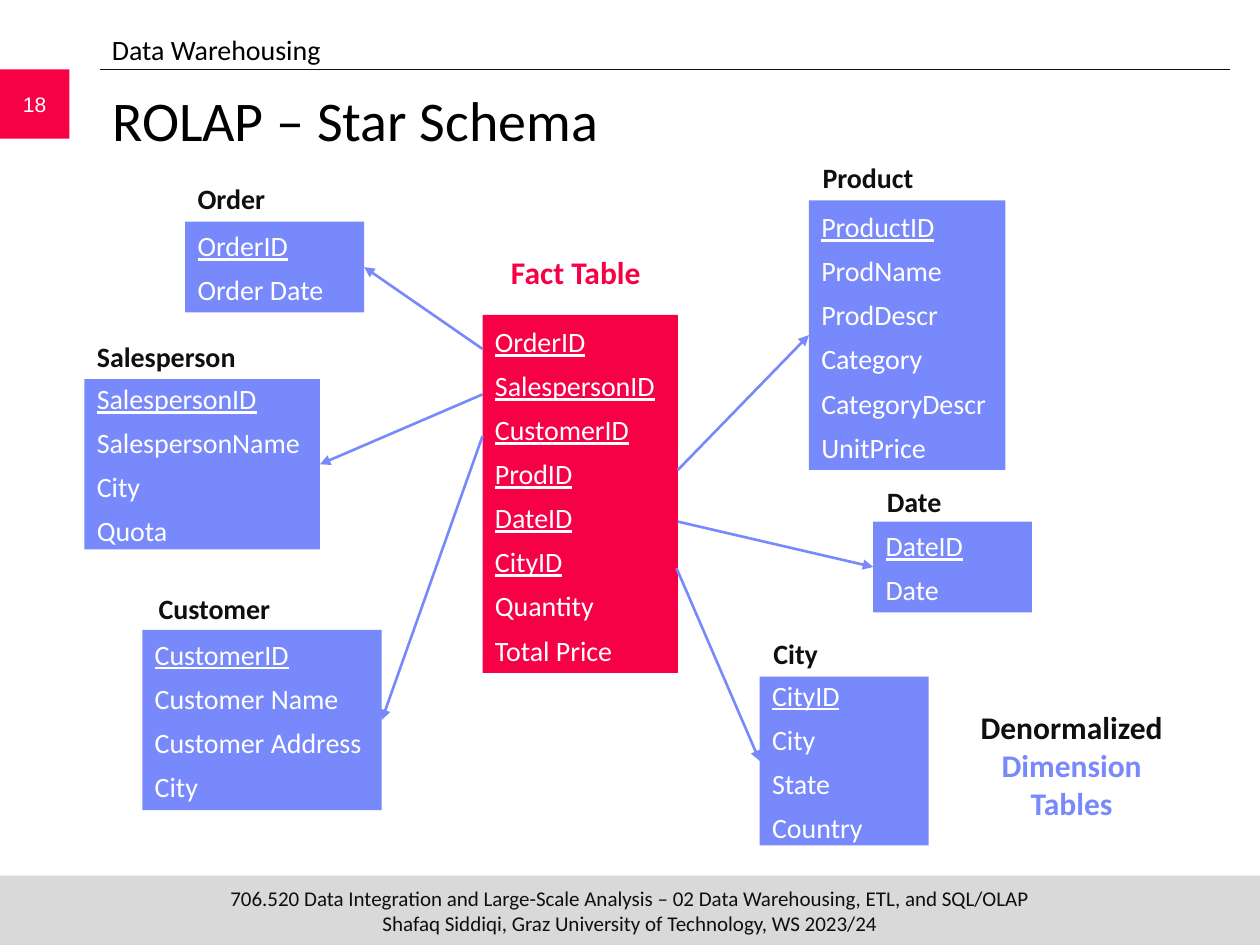
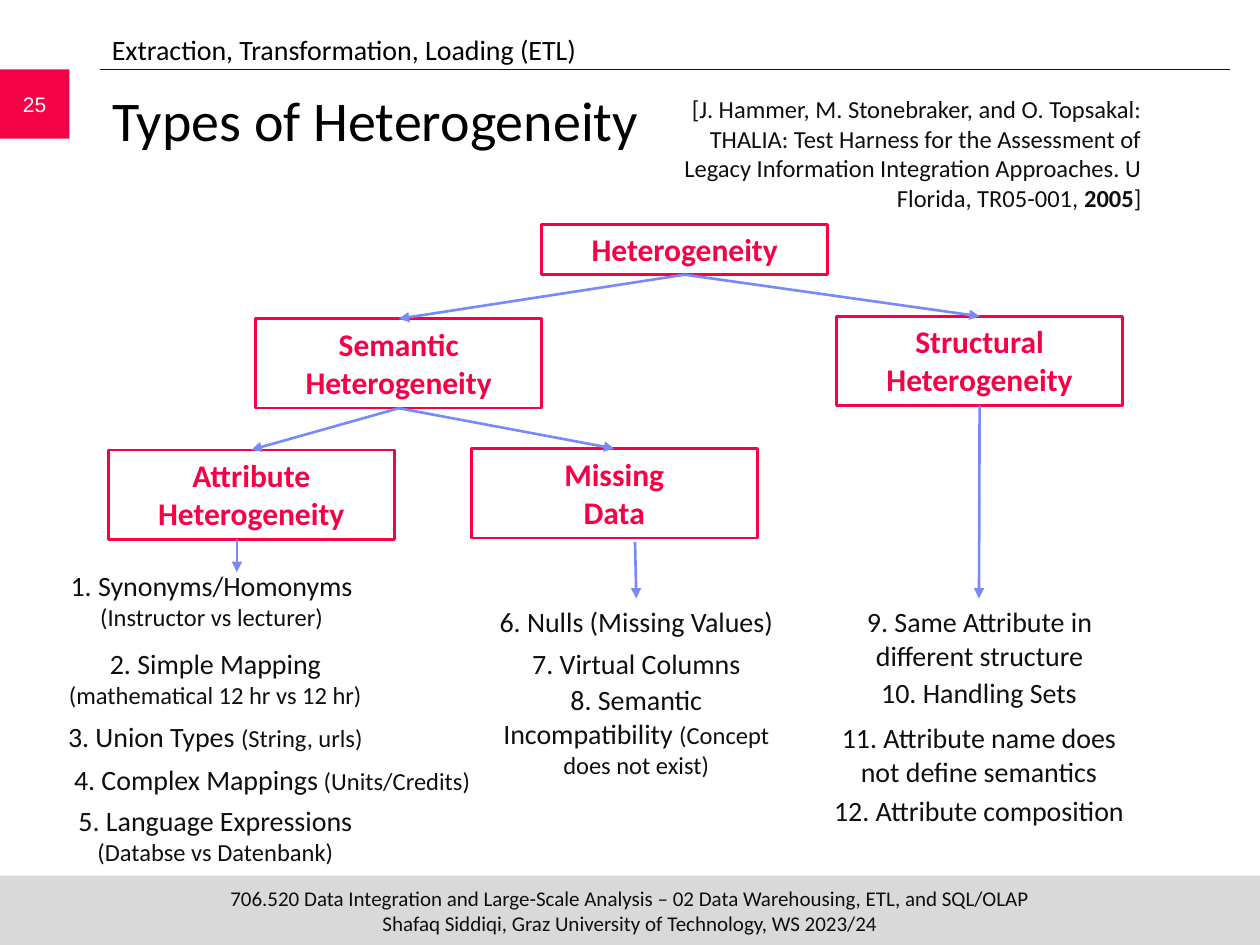
from lxml import etree
from pptx import Presentation
from pptx.dml.color import RGBColor
from pptx.enum import shapes, text
from pptx.oxml import ns
from pptx.util import Inches, Pt

RED = RGBColor(0xF7, 0x01, 0x46)
BLUE = RGBColor(0x78, 0x89, 0xFB)
GREY = RGBColor(0xD9, 0xD9, 0xD9)
INK = RGBColor(0x0F, 0x0F, 0x0F)
BLACK = RGBColor(0, 0, 0)
WHITE = RGBColor(0xFF, 0xFF, 0xFF)

LEFT, CENTER, RIGHT = (text.PP_ALIGN.LEFT, text.PP_ALIGN.CENTER,
                       text.PP_ALIGN.RIGHT)
TOP, MIDDLE, BOTTOM = (text.MSO_ANCHOR.TOP, text.MSO_ANCHOR.MIDDLE,
                       text.MSO_ANCHOR.BOTTOM)
SIDE_TOP, SIDE_LEFT, SIDE_BOTTOM, SIDE_RIGHT = range(4)

FOOTER = [
    "706.520 Data Integration and Large-Scale Analysis – "
    "02 Data Warehousing, ETL, and SQL/OLAP",
    "Shafaq Siddiqi, Graz University of Technology, WS 2023/24",
]


class Deck:
    """Holds the shared style and the slide being built."""

    def __init__(self):
        self.presentation = Presentation()
        self.presentation.slide_width = Inches(10)
        self.presentation.slide_height = Inches(7.5)
        self.slide = None

    def new_slide(self, number, section, title):
        layout = self.presentation.slide_layouts.get_by_name("Title Only")
        self.slide = self.presentation.slides.add_slide(layout)

        # Title and section name
        heading = self.slide.shapes.title
        box = dict(left=0.79, top=0.63, width=8.96, height=0.83)
        for side, value in box.items():
            setattr(heading, side, Inches(value))
        self.set_text(heading, [title], size=32, color=BLACK)
        self.label((0.79, 0.21, 9, 0.36), [section], color=BLACK)

        # Footer band, header rule and page number
        self.box((0, 6.95, 10, 0.55), FOOTER, fill=GREY, size=12, color=INK,
                 align=CENTER, anchor=MIDDLE, margins=(0, 0))
        self.line((0.79, 0.55), (9.76, 0.55), color=INK, width=0.5)
        self.box((0, 0.55, 0.55, 0.55), [number], fill=RED, size=12,
                 color=WHITE, name="Arial", align=CENTER, anchor=MIDDLE)

    def set_text(self, shape, paragraphs, align=LEFT, anchor=TOP, gap=0,
                 margins=(0.1, 0.05), **style):
        """Each paragraph is a string or a list of (string, style) runs."""
        frame = shape.text_frame
        across, down = map(Inches, margins)
        settings = dict(word_wrap=True, auto_size=text.MSO_AUTO_SIZE.NONE,
                        vertical_anchor=anchor, margin_left=across,
                        margin_right=across, margin_top=down,
                        margin_bottom=down)
        for key, value in settings.items():
            setattr(frame, key, value)
        for index, runs in enumerate(paragraphs):
            paragraph = frame.add_paragraph() if index else frame.paragraphs[0]
            paragraph.alignment = align
            paragraph.space_before = Pt(gap if index else 0)
            if isinstance(runs, str):
                runs = [(runs, {})]
            for words, changes in runs:
                run = paragraph.add_run()
                run.text = words
                self.format_font(run.font, **{**style, **changes})

    def format_font(self, font, color=INK, size=16, **style):
        font.color.rgb = color
        for key, value in {"name": "Calibri", "size": Pt(size), **style}.items():
            setattr(font, key, value)

    def label(self, place, paragraphs, **style):
        shape = self.slide.shapes.add_textbox(*map(Inches, place))
        self.set_text(shape, paragraphs, **style)

    def box(self, place, paragraphs, fill, outline=None, **style):
        shape = self.slide.shapes.add_shape(
            shapes.MSO_SHAPE.RECTANGLE, *map(Inches, place))
        shape.shadow.inherit = False
        shape.fill.solid()
        shape.fill.fore_color.rgb = fill
        if outline is None:
            shape.line.fill.background()
        else:
            shape.line.color.rgb = outline
            shape.line.width = Pt(1.5)
        self.set_text(shape, paragraphs, **style)
        return shape

    def line(self, start, end, color=BLUE, width=1.5):
        connector = self.slide.shapes.add_connector(
            shapes.MSO_CONNECTOR.STRAIGHT, *map(Inches, (*start, *end)))
        connector.line.color.rgb = color
        connector.line.width = Pt(width)
        etree.SubElement(connector.element.spPr, ns.qn("a:effectLst"))
        return connector

    def arrow(self, start=(0, 0), end=(0, 0), source=None, target=None):
        """source and target are (shape, side) pairs to join."""
        connector = self.line(start, end)
        outline = connector.element.spPr.find(ns.qn("a:ln"))
        etree.SubElement(outline, ns.qn("a:tailEnd"), type="triangle")
        if source:
            connector.begin_connect(*source)
        if target:
            connector.end_connect(*target)

    def entity(self, place, keys, columns, fill=BLUE, anchor=BOTTOM):
        """Schema table whose key columns are underlined."""
        rows = [[(key, {"underline": True})] for key in keys] + columns
        return self.box(place, rows, fill, color=WHITE, anchor=anchor, gap=6)

    def node(self, place, lines):
        return self.box(place, lines, WHITE, outline=RED, size=18, color=RED,
                        bold=True, align=CENTER)


def star_schema(deck):
    deck.new_slide("18", "Data Warehousing", "ROLAP – Star Schema")

    # Fact table
    deck.entity((3.83, 2.5, 1.55, 2.84),
                ["OrderID", "SalespersonID", "CustomerID", "ProdID", "DateID",
                 "CityID"], ["Quantity", "Total Price"], fill=RED)
    deck.label((3.79, 1.96, 1.56, 0.4), ["Fact Table"], size=18, color=RED,
               bold=True, align=CENTER, anchor=BOTTOM)

    # Dimensions: name, name position, table place, key, columns, anchor,
    # arrow start on the fact table, side the arrow reaches
    dimensions = [
        ("Order", (1.47, 1.39), (1.47, 1.76, 1.42, 0.72), "OrderID",
         ["Order Date"], BOTTOM, (3.83, 2.77), SIDE_RIGHT),
        ("Salesperson", (0.67, 2.64), (0.67, 3.01, 1.87, 1.35),
         "SalespersonID", ["SalespersonName", "City", "Quota"], MIDDLE,
         (3.83, 3.13), SIDE_RIGHT),
        ("Customer", (1.16, 4.64), (1.13, 5, 1.9, 1.43), "CustomerID",
         ["Customer Name", "Customer Address", "City"], MIDDLE,
         (3.83, 3.46), SIDE_RIGHT),
        ("Product", (6.43, 1.22), (6.42, 1.59, 1.56, 2.14), "ProductID",
         ["ProdName", "ProdDescr", "Category", "CategoryDescr", "UnitPrice"],
         BOTTOM, (5.38, 3.73), SIDE_LEFT),
        ("Date", (6.94, 3.79), (6.93, 4.14, 1.26, 0.72), "DateID", ["Date"],
         BOTTOM, (5.38, 4.14), SIDE_LEFT),
        ("City", (6.04, 5), (6.03, 5.37, 1.34, 1.34), "CityID",
         ["City", "State", "Country"], MIDDLE, (5.37, 4.51), SIDE_LEFT),
    ]
    for name, corner, place, key, columns, anchor, start, side in dimensions:
        table = deck.entity(place, [key], columns, anchor=anchor)
        deck.label((*corner, 1.48, 0.37), [name], bold=True, anchor=BOTTOM)
        deck.arrow(start, target=(table, side))

    # Remark
    deck.label((7.6, 5.56, 1.81, 1.01),
               ["Denormalized", [("Dimension Tables", {"color": BLUE})]],
               size=18, bold=True, align=CENTER, anchor=BOTTOM)


def heterogeneity_types(deck):
    deck.new_slide("25", "Extraction, Transformation, Loading (ETL)",
                   "Types of Heterogeneity")

    # Tree of types
    width, height = 2.27, 0.71
    root = deck.node((4.3, 1.78, width, 0.4), ["Heterogeneity"])
    structural = deck.node((6.64, 2.51, width, height),
                           ["Structural Heterogeneity"])
    semantic = deck.node((2.03, 2.53, width, height),
                         ["Semantic Heterogeneity"])
    attribute = deck.node((0.86, 3.57, width, height),
                          ["Attribute Heterogeneity"])
    missing = deck.node((3.74, 3.56, width, height), ["Missing", "Data"])
    for parent, child in [(root, semantic), (root, structural),
                          (semantic, missing), (semantic, attribute)]:
        deck.arrow(source=(parent, SIDE_BOTTOM), target=(child, SIDE_TOP))

    # Arrows down to the examples
    deck.arrow((1.88, 4.28), (1.88, 4.54))
    deck.arrow((5.04, 4.3), (5.05, 4.75))
    deck.arrow(end=(7.77, 4.75), source=(structural, SIDE_BOTTOM))

    # Examples: left, top, width, height, wording, smaller remark
    examples = [
        (0.15, 4.46, 3.06, 0.61, "1. Synonyms/Homonyms ",
         "(Instructor vs lecturer)"),
        (0.18, 5.08, 3.06, 0.61, "2. Simple Mapping ",
         "(mathematical 12 hr vs 12 hr)"),
        (0.18, 5.66, 3.06, 0.37, "3. Union Types ", "(String, urls)"),
        (0.18, 6, 3.96, 0.37, "4. Complex Mappings", " (Units/Credits)"),
        (0.18, 6.33, 3.06, 0.61, "5. Language Expressions ",
         "(Databse vs Datenbank)"),
        (3.76, 4.75, 2.58, 0.37, "6. Nulls (Missing Values)", ""),
        (3.76, 5.08, 2.58, 0.37, "7. Virtual Columns", ""),
        (3.76, 5.37, 2.58, 0.91, "8. Semantic Incompatibility ",
         "(Concept does not exist)"),
        (6.41, 4.75, 2.73, 0.64, "9. Same Attribute in different structure",
         ""),
        (6.48, 5.31, 2.58, 0.37, "10. Handling Sets", ""),
        (6.48, 5.67, 2.58, 0.64,
         "11. Attribute name does not define semantics", ""),
        (6.48, 6.25, 2.58, 0.37, "12. Attribute composition", ""),
    ]
    for *place, wording, remark in examples:
        runs = [(wording, {})]
        if remark:
            runs.append((remark, {"size": 14}))
        deck.label(place, [runs], align=CENTER)

    # Reference
    reference = ("[J. Hammer, M. Stonebraker, and O. Topsakal: THALIA: Test "
                 "Harness for the Assessment of Legacy Information "
                 "Integration Approaches. U Florida, TR05-001, ")
    deck.label((5.1, 0.7, 3.96, 1.04),
               [[(reference, {}), ("2005", {"bold": True}), ("]", {})]],
               size=14, align=RIGHT, margins=(0, 0.05))


def main():
    deck = Deck()
    star_schema(deck)
    heterogeneity_types(deck)
    deck.presentation.save("out.pptx")


if __name__ == "__main__":
    main()
